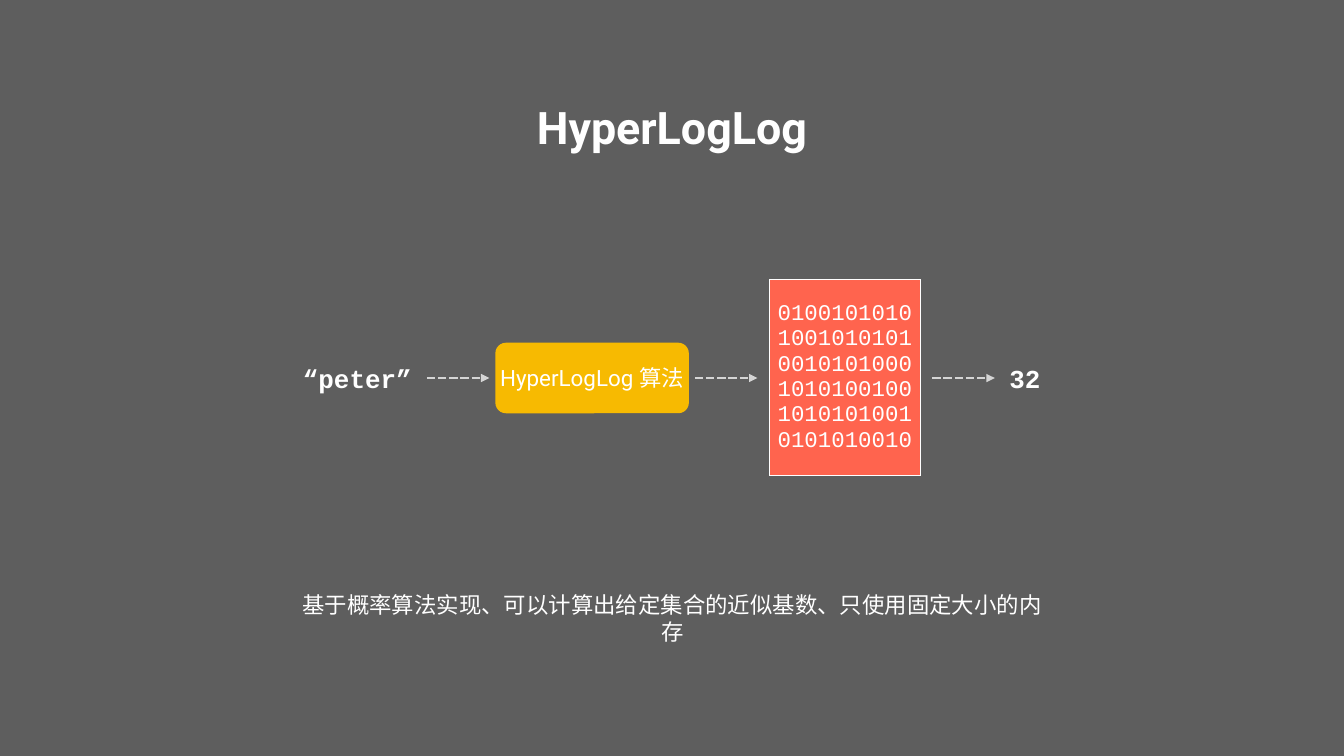
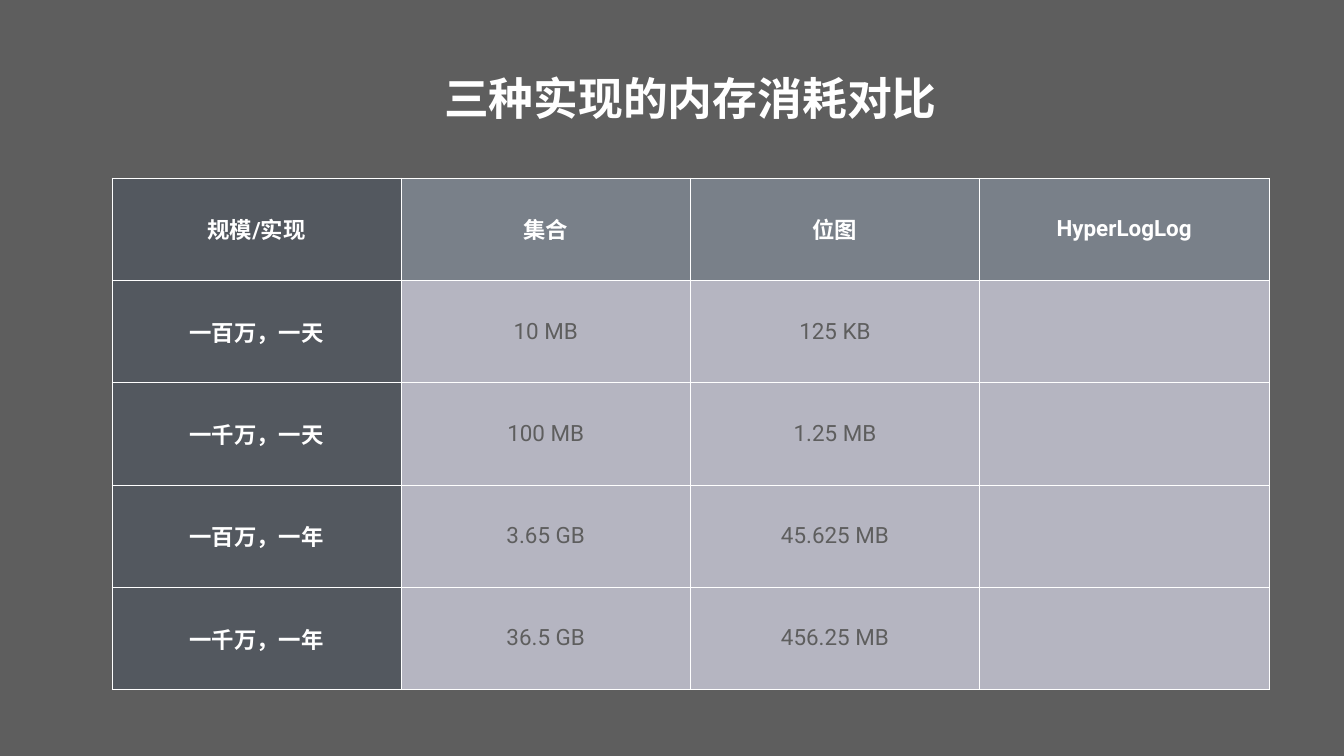
"""Build two slides on HyperLogLog: how it works and how much memory it saves."""
import pptx
import pptx.dml.color
import pptx.enum.dml
import pptx.enum.shapes
import pptx.enum.text
import pptx.oxml
import pptx.oxml.ns
import pptx.util
from lxml import etree

Inches = pptx.util.Inches
Pt = pptx.util.Pt
RGB = pptx.dml.color.RGBColor.from_string
qn = pptx.oxml.ns.qn
MIDDLE = pptx.enum.text.MSO_ANCHOR.MIDDLE

COLORS = {
    "background": "5E5E5E",
    "white": "FFFFFF",
    "arrow": "D5D5D5",
    "algorithm": "F7BA01",
    "bits": "FF644E",
    "header": "798089",
    "row_label": "53585F",
    "value": "B5B5C1",
}
INSET = Inches(0.06)


def write_text(frame, text, size=32, font="Roboto", color="white", bold=False):
    """Put one centred span of text in a text frame."""
    para = frame.paragraphs[0]
    para.alignment = pptx.enum.text.PP_ALIGN.CENTER
    span = para.add_run()
    span.text = text
    span.font.size = Pt(size)
    span.font.name = font
    span.font.bold = bold
    span.font.color.rgb = RGB(COLORS[color])


def style_cell(cell, fill):
    """Give a table cell its fill, insets and thin white borders."""
    cell.vertical_anchor = MIDDLE
    cell.margin_left = cell.margin_right = INSET
    cell.margin_top = cell.margin_bottom = INSET
    properties = cell._tc.get_or_add_tcPr()
    for side in ("a:lnL", "a:lnR", "a:lnT", "a:lnB"):
        border = etree.SubElement(properties, qn(side), w=str(Pt(1)))
        solid = etree.SubElement(border, qn("a:solidFill"))
        etree.SubElement(solid, qn("a:srgbClr"), val=COLORS["white"])
    cell.fill.solid()
    cell.fill.fore_color.rgb = RGB(COLORS[fill])


deck = pptx.Presentation()
deck.slide_width = Inches(26.67)
deck.slide_height = Inches(15)

pages = []
for number in range(2):
    page = deck.slides.add_slide(deck.slide_layouts[6])
    page.background.fill.solid()
    page.background.fill.fore_color.rgb = RGB(COLORS["background"])
    pages.append(page)
flow_page, memory_page = pages

bits_table = flow_page.shapes.add_table(
    1, 1, Inches(15.27), Inches(5.55), Inches(2.99), Inches(3.89)
).table
bits_table.first_row = bits_table.horz_banding = False
bits_cell = bits_table.cell(0, 0)
style_cell(bits_cell, "bits")
bits = "010010101010010101010010101000101010010010101010010101010010"
write_text(bits_cell.text_frame, bits, font="Courier New")

summary = "基于概率算法实现、可以计算出给定集合的近似基数、只使用固定大小的内存"
title_style = {"size": 64, "bold": True}
sample_style = {"size": 37, "font": "Courier New", "bold": True}
labels = [
    (flow_page, "HyperLogLog", (10.4, 1.92, 5.87, 1.17), False, title_style),
    (flow_page, summary, (5.72, 11.89, 15.24, 0.74), True, {}),
    (flow_page, "“peter”", (5.95, 7.14, 2.28, 0.72), False, sample_style),
    (flow_page, "32", (19.97, 7.14, 0.74, 0.72), False, sample_style),
    (memory_page, "三种实现的内存消耗对比", (8.75, 1.25, 9.9, 1.36), False, title_style),
]
for page, text, place, wrap, style in labels:
    box = page.shapes.add_textbox(*[Inches(length) for length in place])
    frame = box.text_frame
    frame.word_wrap = wrap
    frame.vertical_anchor = MIDDLE
    frame.margin_left = frame.margin_right = INSET
    frame.margin_top = frame.margin_bottom = INSET
    write_text(frame, text, **style)

algorithm = flow_page.shapes.add_shape(
    pptx.enum.shapes.MSO_SHAPE.ROUNDED_RECTANGLE,
    Inches(9.83), Inches(6.8), Inches(3.84), Inches(1.4),
)
algorithm.adjustments[0] = 0.15
algorithm.shadow.inherit = False
algorithm.fill.solid()
algorithm.fill.fore_color.rgb = RGB(COLORS["algorithm"])
algorithm.line.fill.background()
frame = algorithm.text_frame
frame.word_wrap = True
frame.vertical_anchor = MIDDLE
frame.margin_left = frame.margin_right = frame.margin_top = frame.margin_bottom = 0
write_text(frame, "HyperLogLog 算法")

for start in (8.47, 13.79, 18.5):
    arrow = flow_page.shapes.add_connector(
        pptx.enum.shapes.MSO_CONNECTOR.STRAIGHT,
        Inches(start), Inches(7.5), Inches(start + 1.24), Inches(7.5),
    )
    arrow.line.color.rgb = RGB(COLORS["arrow"])
    arrow.line.width = Pt(4)
    arrow.line.dash_style = pptx.enum.dml.MSO_LINE.SQUARE_DOT
    etree.SubElement(arrow.line._get_or_add_ln(), qn("a:tailEnd"), type="triangle")
    etree.SubElement(arrow._element.spPr, qn("a:effectLst"))

memory_rows = [
    ("规模/实现", "集合", "位图", "HyperLogLog"),
    ("一百万，一天", "10 MB", "125 KB", ""),
    ("一千万，一天", "100 MB", "1.25 MB", ""),
    ("一百万，一年", "3.65 GB", "45.625 MB", ""),
    ("一千万，一年", "36.5 GB", "456.25 MB", ""),
]
memory_table = memory_page.shapes.add_table(
    5, 4, Inches(2.22), Inches(3.53), Inches(4 * 5.74), Inches(5 * 2.03)
).table
memory_table.first_col = True
memory_table.horz_banding = False
for row, values in enumerate(memory_rows):
    for column, value in enumerate(values):
        cell = memory_table.cell(row, column)
        is_label = row == 0 or column == 0
        fill = "row_label" if column == 0 else "header" if row == 0 else "value"
        style_cell(cell, fill)
        if value:
            color = "white" if is_label else "background"
            write_text(cell.text_frame, value, color=color, bold=is_label)

deck.save("out.pptx")
